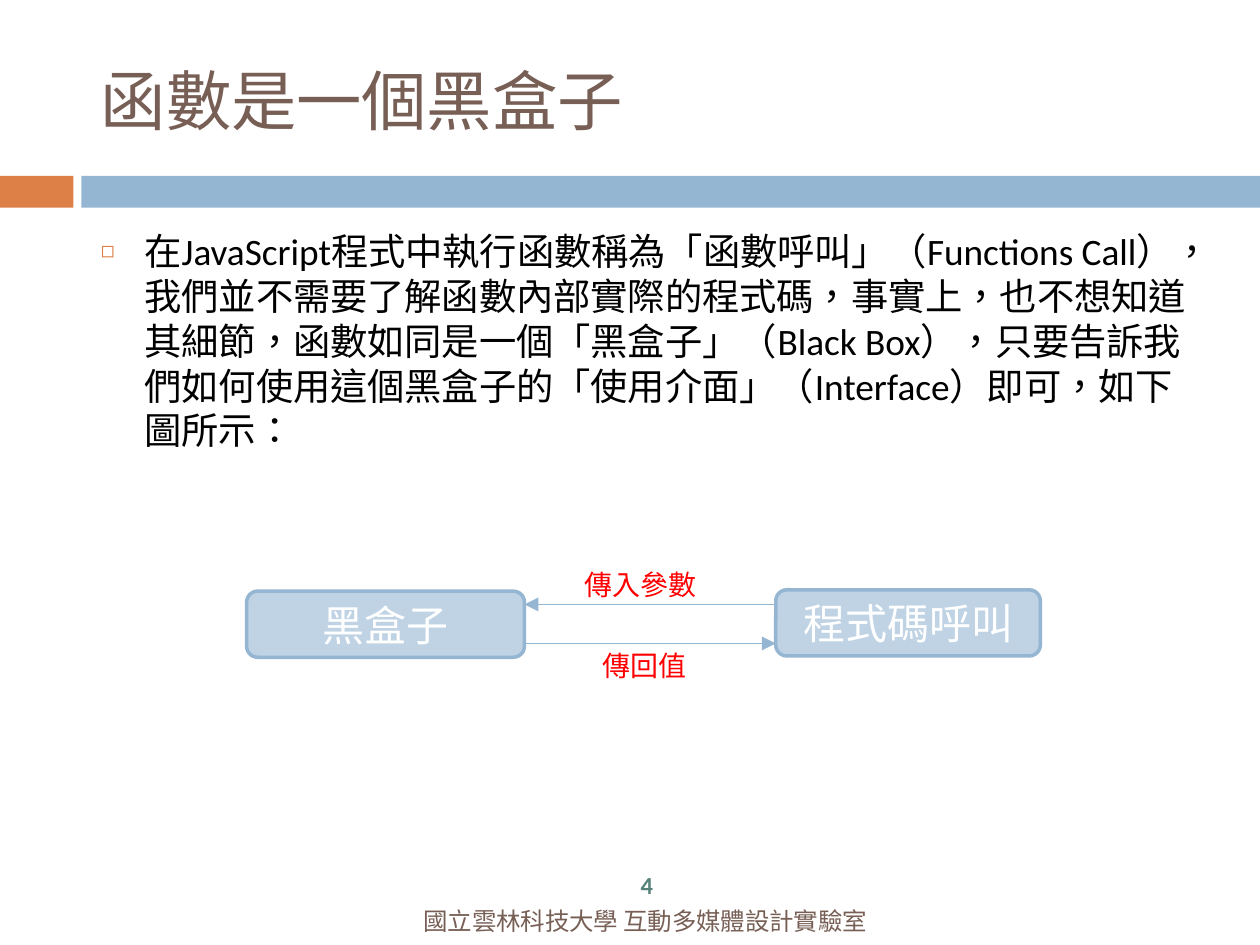
from pptx import Presentation
from pptx.dml.color import RGBColor
from pptx.enum.shapes import MSO_CONNECTOR, MSO_SHAPE
from pptx.enum.text import MSO_ANCHOR, MSO_AUTO_SIZE, PP_ALIGN
from pptx.oxml.ns import qn
from pptx.util import Cm, Pt
from lxml.etree import SubElement

HUES = {
    "brown": "775F55", "orange": "DD8047", "blue": "94B6D2",
    "pale": "BFD3E4", "green": "578279", "red": "FF0000",
    "black": "000000", "white": "FFFFFF",
}
INTRO = (
    "在JavaScript程式中執行函數稱為「函數呼叫」（Functions Call），"
    "我們並不需要了解函數內部實際的程式碼，事實上，也不想知道其細節，"
    "函數如同是一個「黑盒子」（Black Box），只要告訴我們如何使用這個"
    "黑盒子的「使用介面」（Interface）即可，如下圖所示："
)
MIDDLE = {"vertical_anchor": MSO_ANCHOR.MIDDLE}
TIGHT = dict.fromkeys(
    ("margin_left", "margin_top", "margin_right", "margin_bottom"), 0)


def hue(name):
    return RGBColor.from_string(HUES[name])


def apply(target, values):
    for key, value in values.items():
        setattr(target, key, value)


def write(shape, text, size, color, align=PP_ALIGN.LEFT, bold=False, **frame):
    """Fill a shape with one formatted paragraph."""
    box = shape.text_frame
    apply(box, {"word_wrap": True, "auto_size": MSO_AUTO_SIZE.NONE, **frame})
    para = box.paragraphs[0]
    para.alignment = align
    run = para.add_run()
    run.text = text
    apply(run.font, {"name": "Calibri", "size": Pt(size), "bold": bold})
    run.font.color.rgb = hue(color)
    run._r.get_or_add_rPr().set("lang", "zh-TW")
    return para


def place(shape, *area):
    apply(shape, dict(zip(("left", "top", "width", "height"), map(Cm, area))))
    return shape


def block(slide, kind, area, fill, edge=None):
    shape = slide.shapes.add_shape(kind, *map(Cm, area))
    shape.shadow.inherit = False
    shape.fill.solid()
    shape.fill.fore_color.rgb = hue(fill)
    if edge:
        shape.line.color.rgb = hue(edge)
        shape.line.width = Pt(1.5)
    else:
        shape.line.fill.background()
    return shape


def label(slide, area, *args, **frame):
    write(slide.shapes.add_textbox(*map(Cm, area)), *args, **frame)


def arrow(slide, start, end, y):
    link = slide.shapes.add_connector(
        MSO_CONNECTOR.STRAIGHT, Cm(start), Cm(y), Cm(end), Cm(y))
    link.line.color.rgb = hue("blue")
    link.line.width = Pt(0.79)
    SubElement(link.line._get_or_add_ln(), qn("a:tailEnd"), type="triangle")
    SubElement(link._element.spPr, qn("a:effectLst"))


def bullet(para):
    props = para._p.get_or_add_pPr()
    apply(para, {"space_before": Pt(5.2), "line_spacing": 1.0})
    props.set("marL", str(Cm(0.66)))
    props.set("indent", str(-Cm(0.66)))
    color = SubElement(props, qn("a:buClr"))
    SubElement(color, qn("a:srgbClr"), val=HUES["orange"])
    SubElement(props, qn("a:buSzPct"), val="60000")
    SubElement(props, qn("a:buChar"), char="◻")


def main():
    deck = Presentation()
    apply(deck, {"slide_width": Cm(19.05), "slide_height": Cm(14.29)})
    slide = deck.slides.add_slide(deck.slide_layouts[1])

    # Band under the title
    for left, width, fill in ((0, 1.11, "orange"), (1.23, 17.82, "blue")):
        block(slide, MSO_SHAPE.RECTANGLE, (left, 2.66, width, 0.48), fill)

    # Title and body
    title = place(slide.shapes.title, 1.27, 0.48, 17, 2.06)
    write(title, "函數是一個黑盒子", 28, "brown", **MIDDLE)
    body = place(slide.placeholders[1], 1.27, 3.33, 17, 9.37)
    bullet(write(body, INTRO, 16, "black"))

    # Boxes of the diagram
    for left, top, width, text in (
            (3.73, 8.94, 4.2, "黑盒子"), (11.73, 8.92, 4, "程式碼呼叫")):
        box = block(slide, MSO_SHAPE.ROUNDED_RECTANGLE,
                    (left, top, width, 1), "pale", "blue")
        write(box, text, 18, "white", PP_ALIGN.CENTER, **MIDDLE)

    # Arrows and their labels
    for start, end, y, left, top, width, text in (
            (11.73, 7.93, 9.14, 8.59, 8.46, 2.24, "傳入參數"),
            (7.93, 11.73, 9.73, 8.86, 9.68, 1.8, "傳回值")):
        arrow(slide, start, end, y)
        label(slide, (left, top, width, 0.76), text, 12, "red",
              word_wrap=False, auto_size=MSO_AUTO_SIZE.SHAPE_TO_FIT_TEXT)

    # Footer and page number
    for area, text, color, bold in (
            ((4.11, 13.67, 11.3, 0.51),
             "國立雲林科技大學 互動多媒體設計實驗室", "brown", False),
            ((9.22, 13.13, 1.12, 0.51), "4", "green", True)):
        label(slide, area, text, 10.5, color, PP_ALIGN.CENTER, bold,
              **MIDDLE, **TIGHT)

    deck.save("out.pptx")


main()
